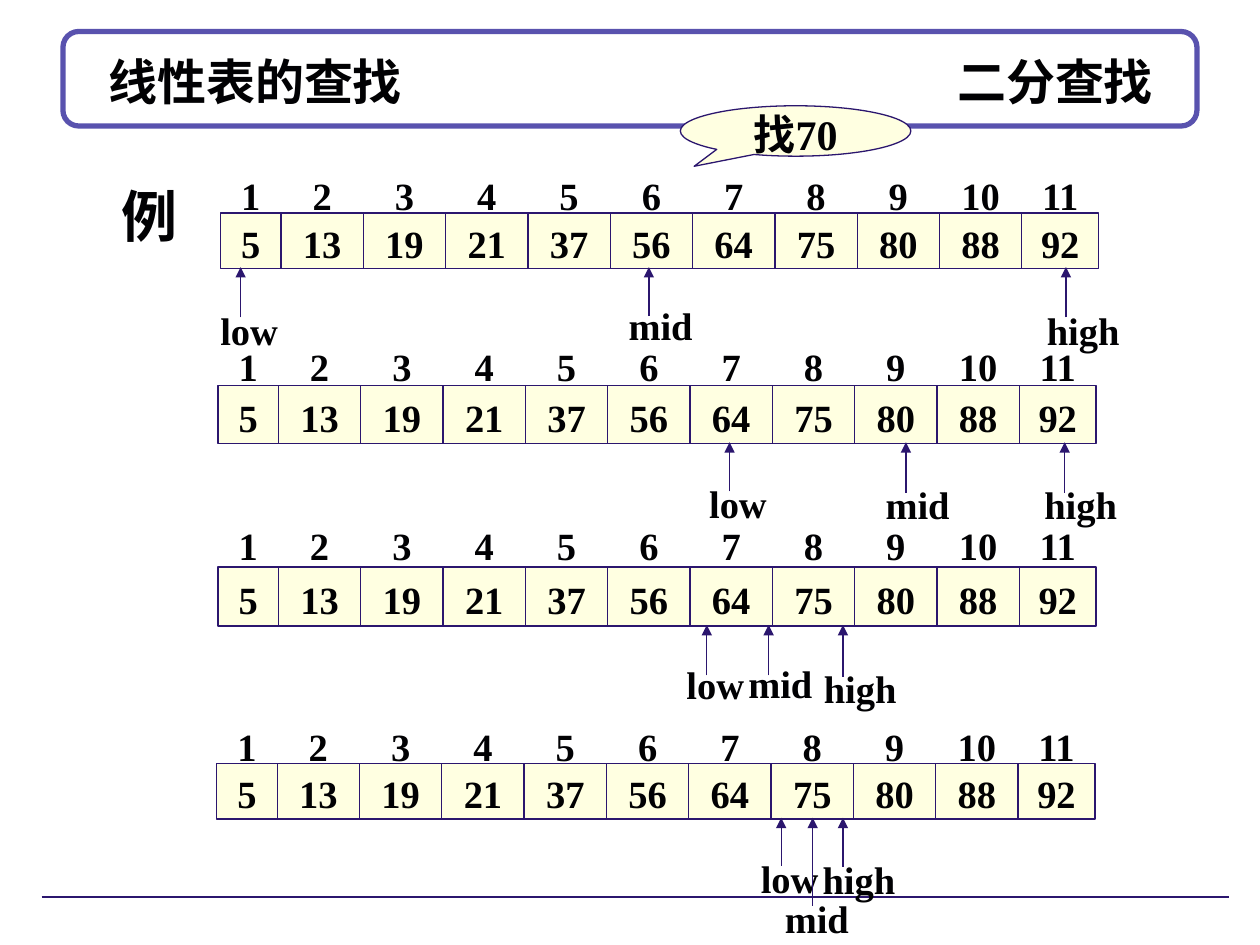
from pptx import Presentation
from pptx.dml.color import RGBColor
from pptx.enum.shapes import MSO_CONNECTOR, MSO_SHAPE
from pptx.enum.text import MSO_ANCHOR, PP_ALIGN
from pptx.oxml.xmlchemy import OxmlElement
from pptx.util import Inches, Pt

STRAIGHT = MSO_CONNECTOR.STRAIGHT
MIDDLE = MSO_ANCHOR.MIDDLE
LEFT, CENTER = PP_ALIGN.LEFT, PP_ALIGN.CENTER

WHITE = RGBColor(0xFF, 0xFF, 0xFF)
INK = RGBColor(0x01, 0x01, 0x03)
NAVY = RGBColor(0x2B, 0x16, 0x6E)
VIOLET = RGBColor(0x59, 0x52, 0xAE)
CREAM = RGBColor(0xFF, 0xFF, 0xE1)
LATIN_FONT = "Times New Roman"
CHINESE_FONT = "Noto Sans CJK SC"

# Offsets from the left edge of an array
FIRST_DIVIDER, LAST_DIVIDER, ARRAY_WIDTH = 0.48, 6.36, 6.97
PITCH = (LAST_DIVIDER - FIRST_DIVIDER) / 9
DIVIDERS = [FIRST_DIVIDER + PITCH * i for i in range(10)]
EDGES = [0, *DIVIDERS, ARRAY_WIDTH]
CELL_CENTERS = [(a + b) / 2 for a, b in zip(EDGES, EDGES[1:])]
CENTER_TABS = [(center, "ctr") for center in CELL_CENTERS]

INDEXES = range(1, 12)
VALUES = [5, 13, 19, 21, 37, 56, 64, 75, 80, 88, 92]
LABEL_WIDTHS = {"low": 0.66, "mid": 0.71, "high": 0.82}

# left, top, height, top of index row,
# markers (name, arrow x, arrow start, label left, label top)
STEPS = [
    (1.75, 1.69, 0.44, 1.28, [("low", 1.91, 2.52, 1.65, 2.35),
                              ("high", 8.46, 2.52, 8.21, 2.35),
                              ("mid", 5.15, 2.51, 4.89, 2.31)]),
    (1.73, 3.06, 0.46, 2.64, [("low", 5.79, 3.9, 5.53, 3.72),
                              ("high", 8.45, 3.91, 8.19, 3.73),
                              ("mid", 7.19, 3.91, 6.93, 3.73)]),
    (1.73, 4.5, 0.47, 4.06, [("low", 5.61, 5.36, 5.35, 5.16),
                             ("high", 6.69, 5.37, 6.44, 5.19),
                             ("mid", 6.1, 5.36, 5.84, 5.15)]),
    (1.72, 6.06, 0.44, 5.65, [("low", 6.2, 6.87, 5.94, 6.7),
                              ("high", 6.69, 6.88, 6.43, 6.71),
                              ("mid", 6.45, 7.19, 6.13, 7.02)]),
]


def write(shape, text, size=22, align=LEFT, tabs=(), spacing=1.1, latin=LATIN_FONT):
    """Fill a shape with one bold paragraph; tabs are (inches, alignment) pairs."""
    frame = shape.text_frame
    frame.word_wrap = bool(tabs)
    paragraph = frame.paragraphs[0]
    if tabs:
        tab_list = OxmlElement("a:tabLst")
        for position, kind in tabs:
            tab = OxmlElement("a:tab")
            tab.set("pos", str(Inches(position)))
            tab.set("algn", kind)
            tab_list.append(tab)
        paragraph._p.get_or_add_pPr().append(tab_list)
    paragraph.alignment = align
    paragraph.line_spacing = spacing
    run = paragraph.add_run()
    run.text = text
    font = run.font
    font.name, font.size, font.bold = latin, Pt(size), True
    font.color.rgb = INK
    east_asian = OxmlElement("a:ea")
    east_asian.set("typeface", CHINESE_FONT)
    run._r.get_or_add_rPr().append(east_asian)


def draw_line(x1, y1, x2, y2, arrow=False):
    line = slide.shapes.add_connector(STRAIGHT, Inches(x1), Inches(y1), Inches(x2), Inches(y2))
    line.line.color.rgb = NAVY
    line.line.width = Pt(0.75)
    if arrow:
        tail = OxmlElement("a:tailEnd")
        tail.set("type", "triangle")
        line.line._get_or_add_ln().append(tail)
    line._element.spPr.append(OxmlElement("a:effectLst"))


presentation = Presentation()
presentation.slide_width, presentation.slide_height = Inches(10), Inches(7.5)
slide = presentation.slides.add_slide(presentation.slide_layouts[5])
shapes = slide.shapes

# Header panel, footer rule and title
panel = shapes.add_shape(MSO_SHAPE.ROUNDED_RECTANGLE,
                         Inches(0.5), Inches(0.25), Inches(9), Inches(0.75))
panel.shadow.inherit = False
panel.fill.solid()
panel.fill.fore_color.rgb = WHITE
panel.line.color.rgb = VIOLET
panel.line.width = Pt(3)
draw_line(0.33, 7.12, 9.75, 7.12)

title = shapes.title
title.left, title.top, title.width, title.height = Inches(0.5), Inches(0.33), Inches(9), Inches(0.62)
title.text_frame.margin_left = Inches(0.36)
title.text_frame.vertical_anchor = MIDDLE
write(title, "线性表的查找\t二分查找", 28, tabs=[(8.29, "r")], spacing=1.0)
shapes._spTree.append(title._element)  # in front of the panel

example = shapes.add_textbox(Inches(0.87), Inches(1.34), Inches(0.84), Inches(0.69))
write(example, "例", 32, latin=CHINESE_FONT)

# Search steps
for left, top, height, index_top, markers in STEPS:
    index_row = shapes.add_textbox(Inches(left), Inches(index_top), Inches(ARRAY_WIDTH), Inches(0.51))
    array = shapes.add_shape(MSO_SHAPE.RECTANGLE,
                             Inches(left), Inches(top), Inches(ARRAY_WIDTH), Inches(height))
    array.shadow.inherit = False
    array.fill.solid()
    array.fill.fore_color.rgb = CREAM
    array.line.color.rgb = NAVY
    array.line.width = Pt(0.75)
    array.text_frame.vertical_anchor = MIDDLE
    for row, numbers in ((index_row, INDEXES), (array, VALUES)):
        row.text_frame.margin_left = row.text_frame.margin_right = 0
        write(row, "".join(f"\t{number}" for number in numbers), tabs=CENTER_TABS)

    bottom = top + height
    for offset in DIVIDERS:
        draw_line(left + offset, top, left + offset, bottom)
    for name, arrow_x, start, label_left, label_top in markers:
        draw_line(arrow_x, start, arrow_x, bottom - 0.01, arrow=True)
        label = shapes.add_textbox(Inches(label_left), Inches(label_top),
                                   Inches(LABEL_WIDTHS[name]), Inches(0.51))
        write(label, name)

# Search key
callout = shapes.add_shape(MSO_SHAPE.OVAL_CALLOUT,
                           Inches(5.4), Inches(0.84), Inches(1.83), Inches(0.4))
callout.adjustments[0], callout.adjustments[1] = -0.44, 0.7
callout.shadow.inherit = False
callout.fill.solid()
callout.fill.fore_color.rgb = CREAM
callout.line.color.rgb = NAVY
callout.line.width = Pt(0.75)
callout.text_frame.vertical_anchor = MIDDLE
write(callout, "找70", 24, CENTER)

presentation.save("out.pptx")
